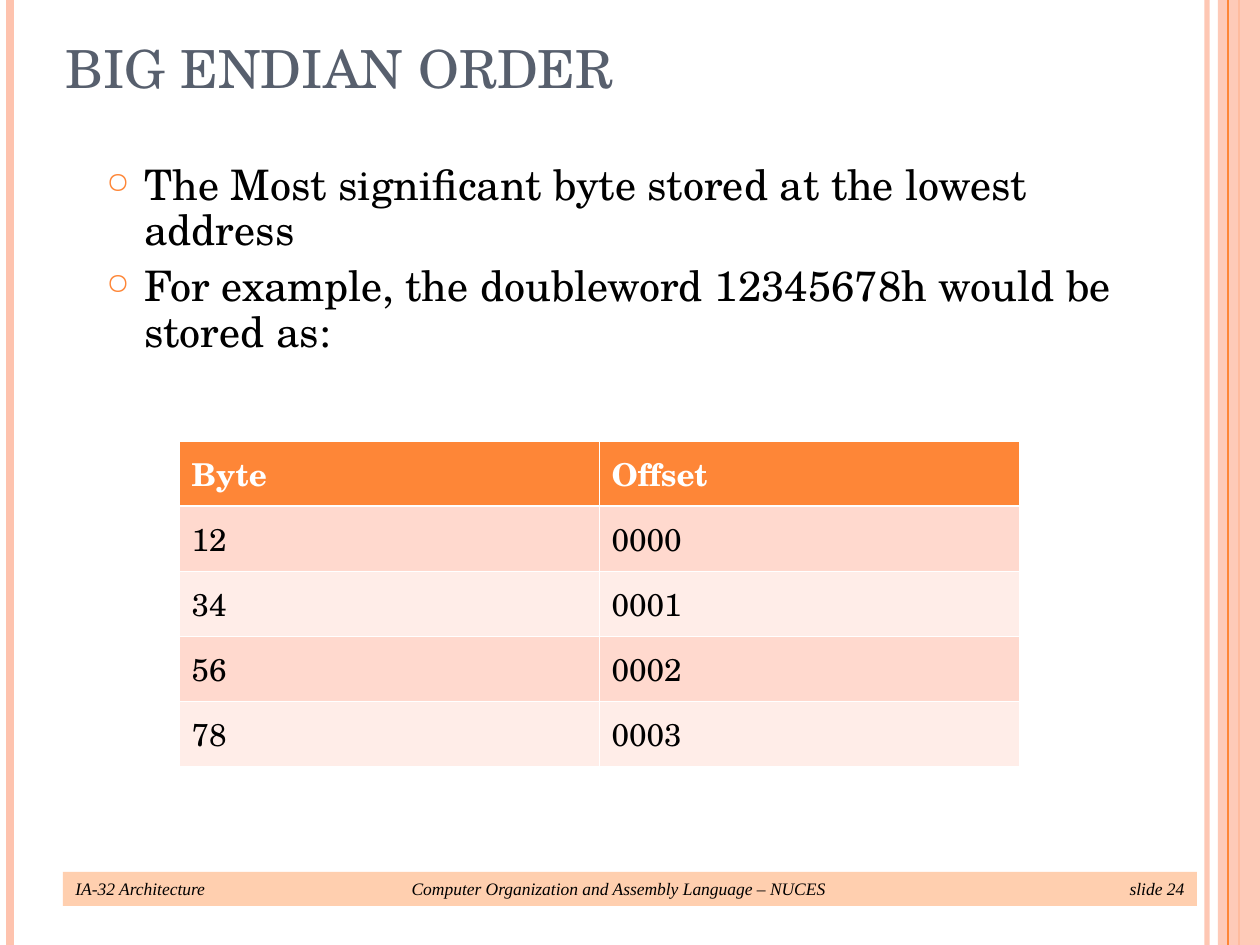
from lxml import etree
from pptx import Presentation
from pptx import util as u
from pptx.dml.color import RGBColor
from pptx.enum import shapes, text
from pptx.oxml import ns

SCALE = 914400 // 126
WIDTH, HEIGHT = 1260, 945
SERIF, FOOTER_FONT = "TeX Gyre Schola", "Times New Roman"
BLACK = RGBColor(0x00, 0x00, 0x00)
WHITE = RGBColor(0xFF, 0xFF, 0xFF)
SLATE = RGBColor(0x57, 0x5F, 0x6D)
ORANGE = RGBColor(0xFE, 0x86, 0x37)
PEACH = RGBColor(0xFE, 0xC3, 0xAE)
FOOTER_FILL = RGBColor(0xFF, 0xCF, 0xAF)
BANDS = [RGBColor(0xFF, 0xD9, 0xCE), RGBColor(0xFF, 0xED, 0xE8)]

BULLETS = [
    "The Most significant byte stored at the lowest address",
    "For example, the doubleword 12345678h would be stored as:",
]
FOOTER = "IA-32 Architecture\tComputer Organization and Assembly Language – NUCES\tslide 24"
ROWS = [("Byte", "Offset"), ("12", "0000"), ("34", "0001"), ("56", "0002"), ("78", "0003")]


def px(*lengths):
    return [u.Emu(length * SCALE) for length in lengths]


def add_xml(parent, tag, **attributes):
    return etree.SubElement(parent, ns.qn(tag), attributes)


def set_font(para, name, size, color, bold=False, italic=False):
    font = para.font
    font.name, font.size, font.bold, font.italic = name, u.Pt(size), bold, italic
    font.color.rgb = color


def set_alpha(fill_parent, percent):
    color = next(fill_parent.iter(ns.qn("a:srgbClr")))
    add_xml(color, "a:alpha", val=str(percent * 1000))


def add_bar(page, box, color):
    bar = page.shapes.add_shape(shapes.MSO_SHAPE.RECTANGLE, *px(*box))
    bar.shadow.inherit = False
    bar.fill.solid()
    bar.fill.fore_color.rgb = color
    bar.line.fill.background()
    return bar


def add_stripe(page, x, color, width, alpha=100):
    stripe = page.shapes.add_connector(shapes.MSO_CONNECTOR.STRAIGHT, *px(x, 0, x, HEIGHT))
    stripe.line.color.rgb = color
    stripe.line.width = u.Pt(width)
    if alpha < 100:
        set_alpha(stripe.line._get_or_add_ln(), alpha)
    add_xml(stripe._element.spPr, "a:effectLst")


def add_side_stripes(page):
    add_stripe(page, 1207, PEACH, 3, alpha=93)
    add_stripe(page, 10, PEACH, 4.5)
    add_stripe(page, 1239, ORANGE, 1.5)
    band = add_bar(page, (1218, 0, 42, HEIGHT), PEACH)
    set_alpha(band._element.spPr, 87)
    add_stripe(page, 1228, ORANGE, 0.75)


def add_footer(page, box):
    frame = add_bar(page, box, FOOTER_FILL).text_frame
    frame.word_wrap = True
    frame.vertical_anchor = text.MSO_ANCHOR.MIDDLE
    para = frame.paragraphs[0]
    para.text = FOOTER
    para.alignment = text.PP_ALIGN.LEFT
    tabs = add_xml(para._p.get_or_add_pPr(), "a:tabLst")
    for position, align in zip(px(543, 1109), ("ctr", "r")):
        add_xml(tabs, "a:tab", pos=str(position), algn=align)
    set_font(para, FOOTER_FONT, 10, BLACK, italic=True)


def set_title(page, box, wording):
    title = page.shapes.title
    title.left, title.top, title.width, title.height = px(*box)
    title.text_frame.vertical_anchor = text.MSO_ANCHOR.BOTTOM
    para = title.text_frame.paragraphs[0]
    para.text = wording
    para.alignment = text.PP_ALIGN.LEFT
    set_font(para, SERIF, 30, SLATE)


def add_bullets(page, box, lines):
    frame = page.shapes.add_textbox(*px(*box)).text_frame
    frame.word_wrap = True
    indent = px(38)[0]
    for index, line in enumerate(lines):
        para = frame.paragraphs[0] if index == 0 else frame.add_paragraph()
        para.text = line
        para.line_spacing = 0.9
        if index:
            para.space_before = u.Pt(6)
        properties = para._p.get_or_add_pPr()
        properties.set("marL", str(indent))
        properties.set("indent", str(-indent))
        add_xml(add_xml(properties, "a:buClr"), "a:srgbClr", val=str(ORANGE))
        add_xml(properties, "a:buSzPct", val="70000")
        add_xml(properties, "a:buChar", char="○")
        set_font(para, SERIF, 24, BLACK)


def set_borders(cell, widths):
    """Draw white borders; widths maps each side to points."""
    properties = cell._tc.get_or_add_tcPr()
    for index, (side, width) in enumerate(widths.items()):
        line = etree.Element(ns.qn(f"a:ln{side}"), w=str(u.Pt(width)))
        add_xml(add_xml(line, "a:solidFill"), "a:srgbClr", val=str(WHITE))
        properties.insert(index, line)


def add_byte_table(page, box, rows):
    table = page.shapes.add_table(len(rows), len(rows[0]), *px(*box)).table
    for r, row in enumerate(rows):
        header = r == 0
        for c, value in enumerate(row):
            cell = table.cell(r, c)
            cell.fill.solid()
            cell.fill.fore_color.rgb = ORANGE if header else BANDS[(r - 1) % 2]
            cell.vertical_anchor = text.MSO_ANCHOR.MIDDLE
            para = cell.text_frame.paragraphs[0]
            para.text = value
            set_font(para, SERIF, 18, WHITE if header else BLACK, bold=header)
            set_borders(cell, {"L": 0.45, "R": 0.45,
                               "T": 1.47 if r == 1 else 0.45,
                               "B": 1.47 if header else 0.45})


def main():
    deck = Presentation()
    deck.slide_width, deck.slide_height = px(WIDTH, HEIGHT)
    page = deck.slides.add_slide(deck.slide_layouts[5])
    add_side_stripes(page)
    add_footer(page, (63, 872, 1134, 34))
    set_title(page, (53, 0, 1029, 105), "BIG ENDIAN ORDER")
    add_bullets(page, (94, 158, 1071, 325), BULLETS)
    add_byte_table(page, (179, 441, 840, 325), ROWS)
    deck.save("out.pptx")


if __name__ == "__main__":
    main()
